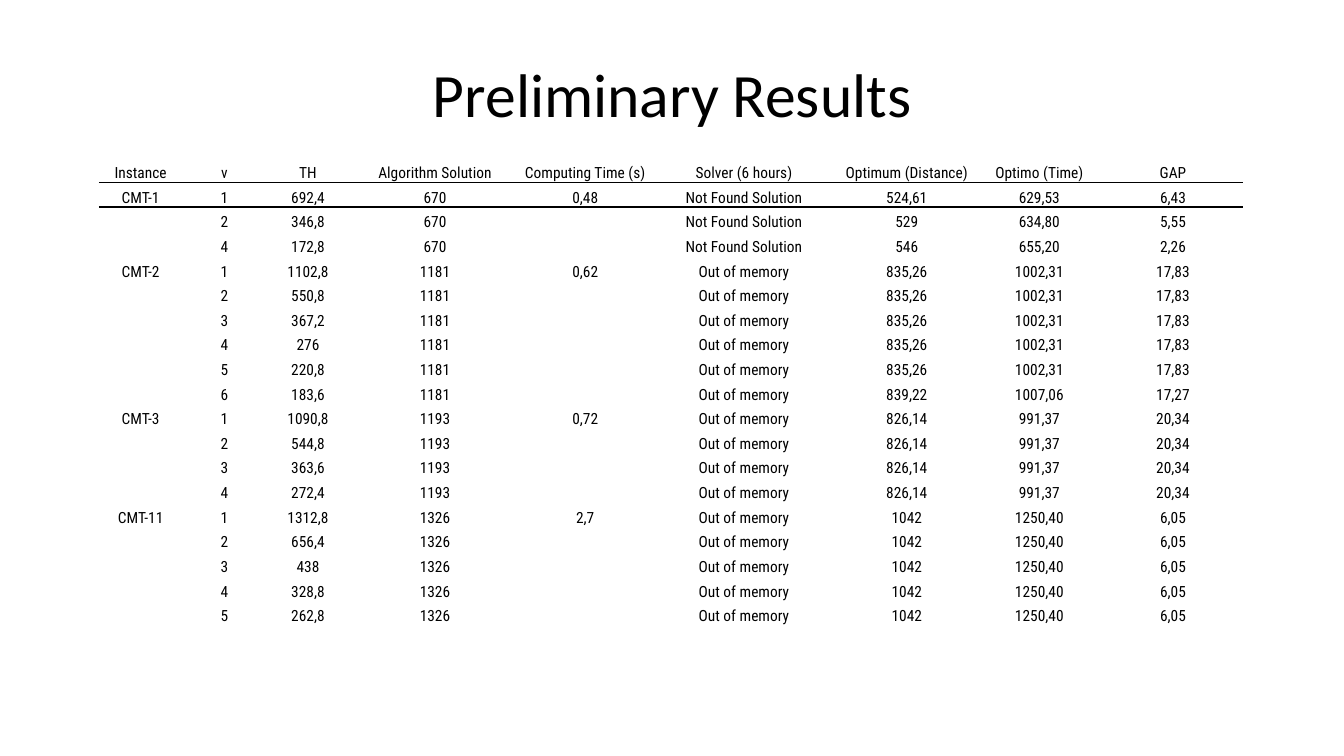
import dataclasses

import lxml.etree
import pptx
import pptx.dml.color
import pptx.enum.text
import pptx.oxml.ns
import pptx.util

Inches = pptx.util.Inches
Pt = pptx.util.Pt
qn = pptx.oxml.ns.qn
ALIGN = pptx.enum.text.PP_ALIGN
ANCHOR = pptx.enum.text.MSO_ANCHOR


@dataclasses.dataclass(frozen=True)
class Theme:
    ink: str = "000000"
    title_font: str = "Calibri"
    table_font: str = "Roboto Condensed"
    title_size: int = 44
    table_size: int = 11
    rule_width: int = 1
    plain_table_style: str = "{2D5ABB26-0587-4C30-8999-92F81FD0307C}"


HEADERS = ["Instance", "v", "TH", "Algorithm Solution", "Computing Time (s)",
           "Solver (6 hours)", "Optimum (Distance)", "Optimo (Time)", "GAP"]
COLUMN_WIDTHS = [0.83, 0.83, 0.83, 1.69, 1.29, 1.86, 1.37, 1.26, 1.39]

# Instance, algorithm solution, computing time, solver outcome,
# then per vehicle count: v, TH, optimum distance, optimum time, gap
INSTANCES = [
    ("CMT-1", "670", "0,48", "Not Found Solution", [
        ("1", "692,4", "524,61", "629,53", "6,43"),
        ("2", "346,8", "529", "634,80", "5,55"),
        ("4", "172,8", "546", "655,20", "2,26")]),
    ("CMT-2", "1181", "0,62", "Out of memory", [
        ("1", "1102,8", "835,26", "1002,31", "17,83"),
        ("2", "550,8", "835,26", "1002,31", "17,83"),
        ("3", "367,2", "835,26", "1002,31", "17,83"),
        ("4", "276", "835,26", "1002,31", "17,83"),
        ("5", "220,8", "835,26", "1002,31", "17,83"),
        ("6", "183,6", "839,22", "1007,06", "17,27")]),
    ("CMT-3", "1193", "0,72", "Out of memory", [
        ("1", "1090,8", "826,14", "991,37", "20,34"),
        ("2", "544,8", "826,14", "991,37", "20,34"),
        ("3", "363,6", "826,14", "991,37", "20,34"),
        ("4", "272,4", "826,14", "991,37", "20,34")]),
    ("CMT-11", "1326", "2,7", "Out of memory", [
        ("1", "1312,8", "1042", "1250,40", "6,05"),
        ("2", "656,4", "1042", "1250,40", "6,05"),
        ("3", "438", "1042", "1250,40", "6,05"),
        ("4", "328,8", "1042", "1250,40", "6,05"),
        ("5", "262,8", "1042", "1250,40", "6,05")]),
]


def result_rows():
    """Flatten the instances; name and time show only on an instance's first row."""
    rows = []
    for name, solution, seconds, solver, runs in INSTANCES:
        for i, (v, th, distance, time, gap) in enumerate(runs):
            rows.append([name if i == 0 else "", v, th, solution,
                         seconds if i == 0 else "", solver, distance, time, gap])
    return rows


class SlideBuilder:
    def __init__(self, slide, theme):
        self.slide = slide
        self.theme = theme

    def add_run(self, p, text, font, size):
        p.alignment = ALIGN.CENTER
        r = p.add_run()
        r.text = text
        r.font.name = font
        r.font.size = Pt(size)
        r.font.color.rgb = pptx.dml.color.RGBColor.from_string(self.theme.ink)

    def title(self, text, left, top, width, height):
        sp = self.slide.shapes.add_textbox(
            Inches(left), Inches(top), Inches(width), Inches(height))
        tf = sp.text_frame
        tf.word_wrap = True
        tf.vertical_anchor = ANCHOR.MIDDLE
        self.add_run(tf.paragraphs[0], text, self.theme.title_font, self.theme.title_size)

    def border(self, cell, side):
        tc_pr = cell._tc.get_or_add_tcPr()
        ln = lxml.etree.SubElement(tc_pr, qn("a:" + side), w=str(Pt(self.theme.rule_width)))
        fill = lxml.etree.SubElement(ln, qn("a:solidFill"))
        lxml.etree.SubElement(fill, qn("a:srgbClr"), val=self.theme.ink)

    def cell(self, cell, text, side=None):
        cell.margin_left = cell.margin_right = cell.margin_top = Inches(0.01)
        cell.margin_bottom = 0
        cell.vertical_anchor = ANCHOR.BOTTOM
        if side:
            self.border(cell, side)
        cell.fill.background()
        p = cell.text_frame.paragraphs[0]
        if text:
            self.add_run(p, text, self.theme.table_font, self.theme.table_size)
        else:
            # Keeps an empty cell from stretching its row
            lxml.etree.SubElement(p._p, qn("a:endParaRPr"), sz=str(self.theme.table_size * 100))

    def table(self, rows, widths, left, top, height, header_height):
        frame = self.slide.shapes.add_table(
            len(rows), len(widths), Inches(left), Inches(top),
            Inches(sum(widths)), Inches(height))
        table = frame.table
        table.first_row = table.horz_banding = False
        for style_id in frame._element.iter(qn("a:tableStyleId")):
            style_id.text = self.theme.plain_table_style
        for column, width in zip(table.columns, widths):
            column.width = Inches(width)
        body_height = (height - header_height) / (len(rows) - 1)
        rule_sides = {0: "lnB", 1: "lnT"}
        for i, values in enumerate(rows):
            table.rows[i].height = Inches(body_height if i else header_height)
            for j, text in enumerate(values):
                self.cell(table.cell(i, j), text, rule_sides.get(i))


def main():
    prs = pptx.Presentation()
    prs.slide_width = Inches(13.33)
    prs.slide_height = Inches(7.5)
    s = SlideBuilder(prs.slides.add_slide(prs.slide_layouts[6]), Theme())
    s.title("Preliminary Results", 0.67, 0.3, 12, 1.25)
    s.table([HEADERS] + result_rows(), COLUMN_WIDTHS,
            left=0.98, top=1.55, height=4.66, header_height=0.26)
    prs.save("out.pptx")


if __name__ == "__main__":
    main()
